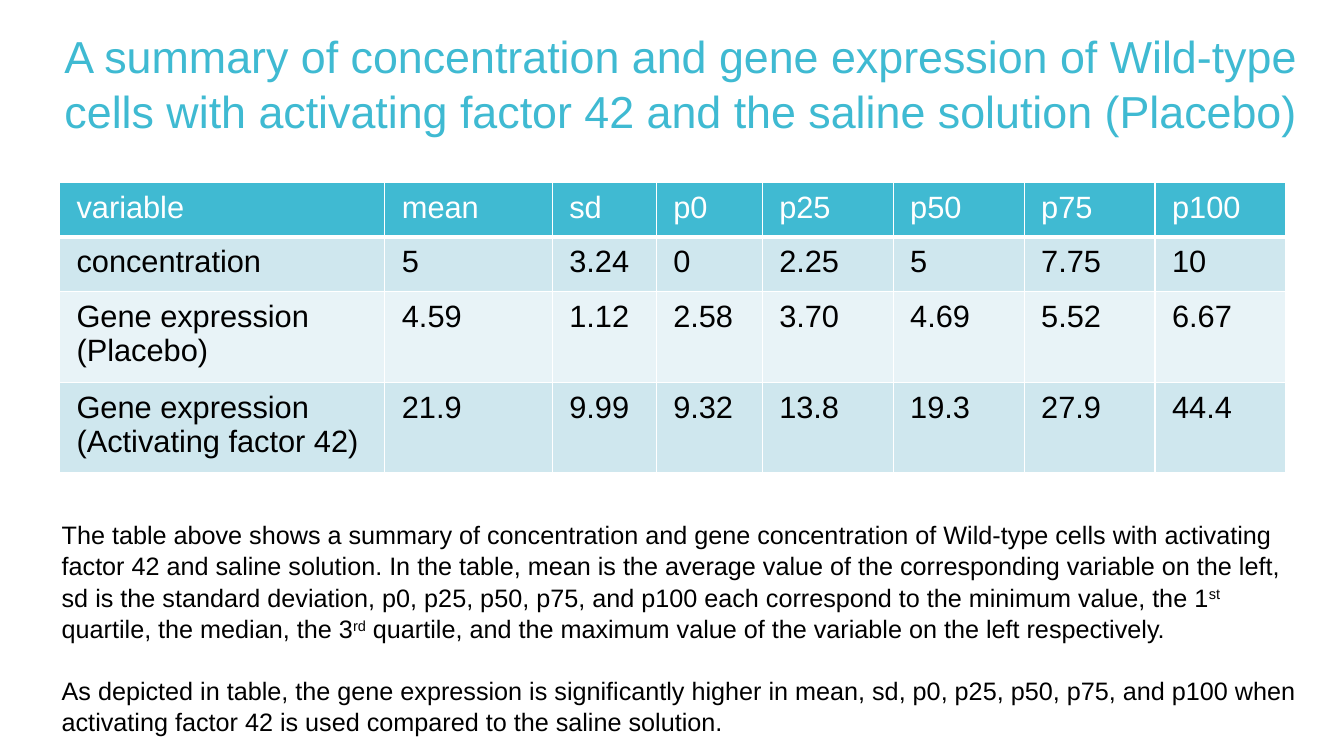
from dataclasses import dataclass

from lxml.etree import SubElement
from pptx import Presentation
from pptx.dml.color import RGBColor as Rgb
from pptx.enum.text import MSO_ANCHOR as Anchor, MSO_AUTO_SIZE as AutoSize, PP_ALIGN as Align
from pptx.oxml import parse_xml
from pptx.oxml.ns import nsdecls, qn
from pptx.util import Cm, Pt


@dataclass(frozen=True)
class Theme:
    """Colours, type sizes and font shared by the slide."""
    font: str = "Arial"
    title: str = "3FBAD2"
    header: str = "40BAD2"
    bands: tuple = ("CFE7EE", "E8F3F7")
    light: str = "FFFFFF"
    dark: str = "000000"
    title_size: int = 32
    table_size: int = 22
    body_size: int = 18
    line_spacing: float = 1.045


THEME = Theme()

TITLE = ("A summary of concentration and gene expression of Wild-type cells "
         "with activating factor 42 and the saline solution (Placebo)")
HEADER = ["variable", "mean", "sd", "p0", "p25", "p50", "p75", "p100"]
RECORDS = [
    ["concentration", "5", "3.24", "0", "2.25", "5", "7.75", "10"],
    ["Gene expression (Placebo)", "4.59", "1.12", "2.58", "3.70", "4.69", "5.52", "6.67"],
    ["Gene expression (Activating factor 42)",
     "21.9", "9.99", "9.32", "13.8", "19.3", "27.9", "44.4"],
]
COLUMN_WIDTHS = [8.2, 4.22, 2.62, 2.67] + [3.3] * 4
ROW_HEIGHTS = [1.37, 1.37, 2.29, 2.29]
EXPLANATION = [
    [("The table above shows a summary of concentration and gene concentration of "
      "Wild-type cells with activating factor 42 and saline solution. In the table, mean is "
      "the average value of the corresponding variable on the left, sd is the standard "
      "deviation, p0, p25, p50, p75, and p100 each correspond to the minimum value, the 1",
      False),
     ("st ", True),
     ("quartile, the median, the 3", False),
     ("rd", True),
     (" quartile, and the maximum value of the variable on the left respectively.", False)],
    [("As depicted in table, the gene expression is significantly higher in mean, sd, p0, "
      "p25, p50, p75, and p100 when activating factor 42 is used compared to the saline "
      "solution.", False)],
]


def add_run(paragraph, text, size, colour, raised=False):
    """Add one formatted run, raised as a superscript if asked."""
    run = paragraph.add_run()
    run.text = text
    run.font.name = THEME.font
    run.font.size = Pt(size)
    run.font.bold = False
    run.font.color.rgb = Rgb.from_string(colour)
    if raised:
        run.font._element.set("baseline", "30000")


def place_text(shape, box):
    """Move a text placeholder into its box and return its text frame."""
    shape.left, shape.top, shape.width, shape.height = map(Cm, box)
    frame = shape.text_frame
    frame.word_wrap = True
    frame.auto_size = AutoSize.NONE
    frame.vertical_anchor = Anchor.TOP
    return frame


def fill_title(shape, box):
    """Write the centred heading."""
    paragraph = place_text(shape, box).paragraphs[0]
    paragraph.alignment = Align.CENTER
    paragraph.line_spacing = THEME.line_spacing
    add_run(paragraph, TITLE, THEME.title_size, THEME.title)


def fill_explanation(shape, box):
    """Write the unbulleted paragraphs, one line apart."""
    frame = place_text(shape, box)
    for index, pieces in enumerate(EXPLANATION):
        paragraph = frame.add_paragraph() if index else frame.paragraphs[0]
        paragraph.line_spacing = THEME.line_spacing
        paragraph.space_before = Pt(1.2 * THEME.body_size if index else 0)
        properties = paragraph._p.get_or_add_pPr()
        properties.set("marL", "0")
        properties.set("indent", "0")
        SubElement(properties, qn("a:buNone"))
        for text, raised in pieces:
            add_run(paragraph, text, THEME.body_size, THEME.dark, raised)


def set_borders(cell, widths):
    """Draw white cell borders with widths in points: left, right, top, bottom."""
    properties = cell._tc.get_or_add_tcPr()
    for index, (side, width) in enumerate(zip("LRTB", widths)):
        properties.insert(index, parse_xml(
            f'<a:ln{side} {nsdecls("a")} w="{Pt(width)}"><a:solidFill>'
            f'<a:srgbClr val="{THEME.light}"/></a:solidFill></a:ln{side}>'))


def fill_cell(cell, text, row):
    """Write and format one cell according to its row."""
    is_header = row == 0
    fill = THEME.header if is_header else THEME.bands[(row - 1) % 2]
    cell.fill.solid()
    cell.fill.fore_color.rgb = Rgb.from_string(fill)
    cell.margin_left = cell.margin_right = Cm(0.43)
    cell.margin_top = cell.margin_bottom = Cm(0.2)
    set_borders(cell, (1, 1, 3 if row == 1 else 1, 3 if is_header else 1))
    add_run(cell.text_frame.paragraphs[0], text, THEME.table_size,
            THEME.light if is_header else THEME.dark)


def add_summary_table(slide, box):
    """Add the table of summary statistics."""
    rows = [HEADER] + RECORDS
    table = slide.shapes.add_table(len(rows), len(HEADER), *map(Cm, box)).table
    table.horz_banding = False
    for column, width in zip(table.columns, COLUMN_WIDTHS):
        column.width = Cm(width)
    for row, height in zip(table.rows, ROW_HEIGHTS):
        row.height = Cm(height)
    for row, texts in enumerate(rows):
        for column, text in enumerate(texts):
            fill_cell(table.cell(row, column), text, row)


def main():
    """Build and save the slide."""
    presentation = Presentation()
    presentation.slide_width, presentation.slide_height = Cm(33.87), Cm(19.05)
    slide = presentation.slides.add_slide(presentation.slide_layouts[1])
    fill_title(slide.shapes.title, (1.3, 0.53, 31.75, 3))
    add_summary_table(slide, (1.5, 4.6, sum(COLUMN_WIDTHS), sum(ROW_HEIGHTS)))
    fill_explanation(slide.placeholders[1], (1.3, 12.93, 31.75, 5.64))
    presentation.save("out.pptx")


if __name__ == "__main__":
    main()
